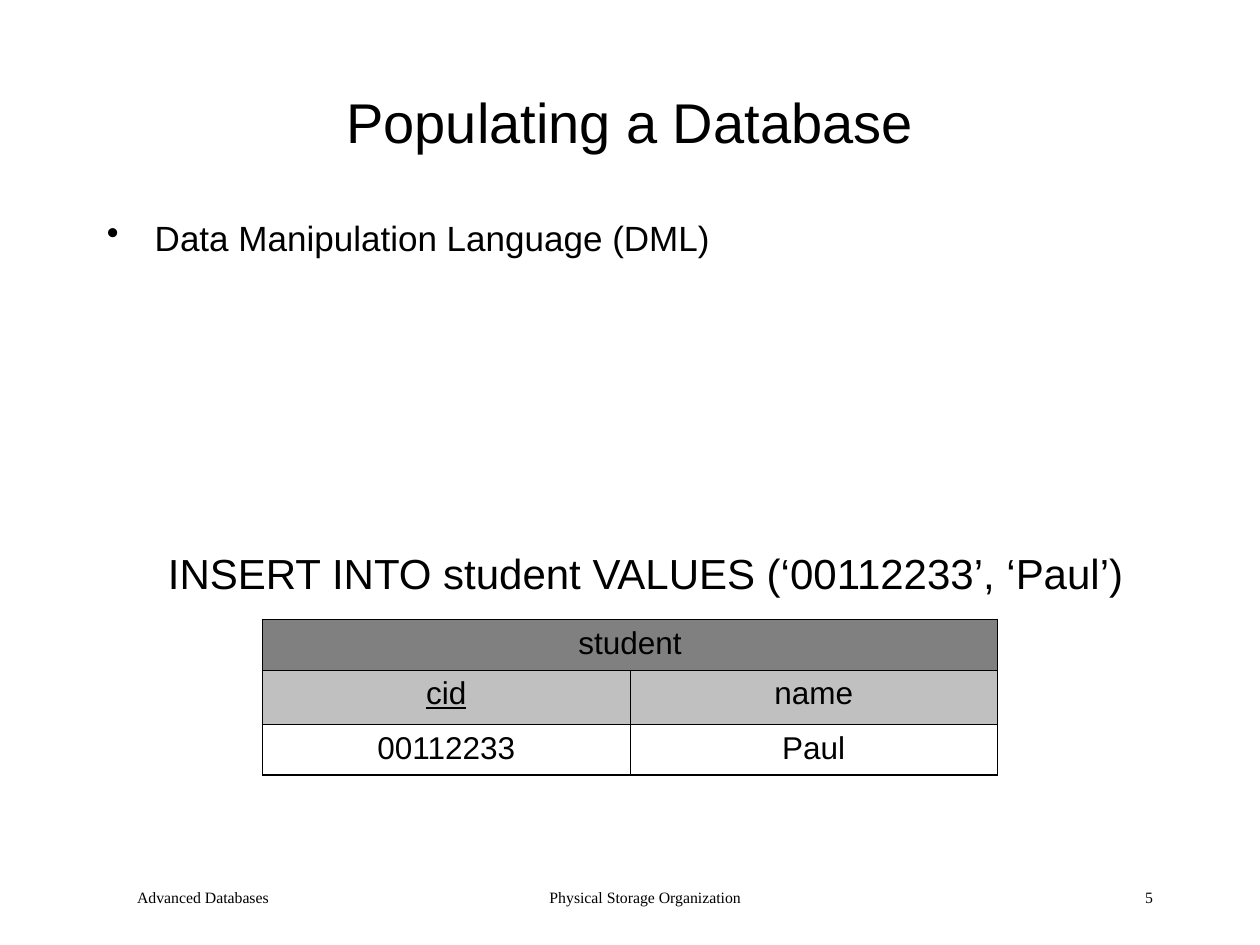
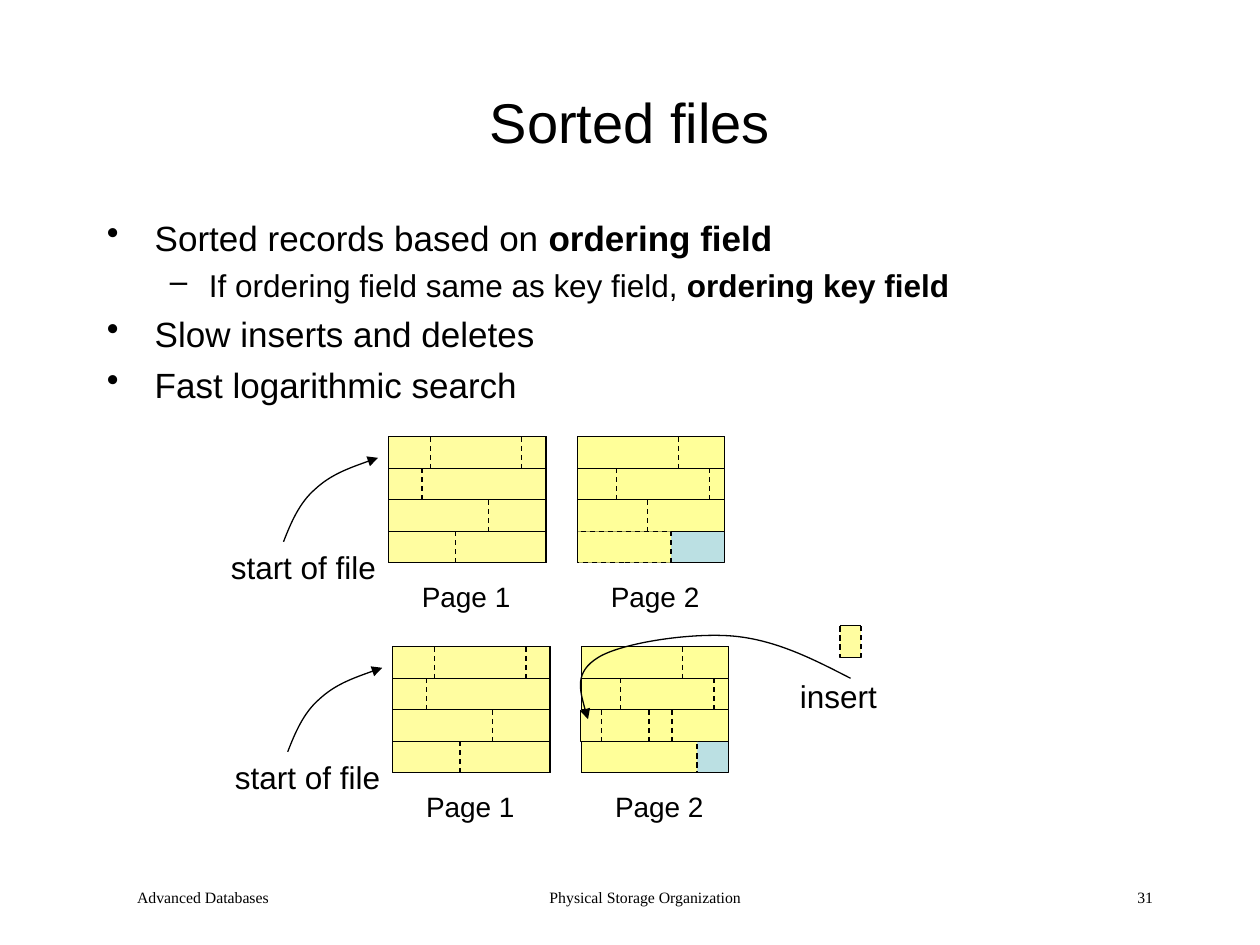
from dataclasses import dataclass
from typing import Any, Optional

from lxml import etree
from pptx import Presentation
from pptx import util as u
from pptx.dml.color import RGBColor
from pptx.enum import dml, shapes, text
from pptx.oxml.ns import qn
from pptx.slide import Slide

BLACK = RGBColor(0x00, 0x00, 0x00)
TABLE_NAME_GREY = RGBColor(0x80, 0x80, 0x80)
FIELD_GREY = RGBColor(0xC0, 0xC0, 0xC0)
RECORD_YELLOW = RGBColor(0xFF, 0xFD, 0xA0)
SORTED_YELLOW = RGBColor(0xFF, 0xFF, 0x99)
FREE_BLUE = RGBColor(0xBB, 0xE0, 0xE3)

SLIDE_WIDTH, SLIDE_HEIGHT = u.Inches(10), u.Inches(7.5)
COLUMNS = 120
STEP = SLIDE_WIDTH / COLUMNS
RECORD_ROWS = 3
RECORDS_PER_PAGE = 4
THIN, THICK = 0.45, 1.08

LEFT, CENTER, RIGHT = text.PP_ALIGN.LEFT, text.PP_ALIGN.CENTER, text.PP_ALIGN.RIGHT
MIDDLE = text.MSO_ANCHOR.MIDDLE

Point = tuple[float, float]
Runs = list[tuple[str, bool]]


@dataclass(frozen=True)
class Box:
    left: float
    top: float
    width: float
    height: float

    def lengths(self) -> list[u.Emu]:
        return [grid(n) for n in (self.left, self.top, self.width, self.height)]


@dataclass(frozen=True)
class Level:
    mark: str
    size: int
    margin: float
    hang: float
    before: float


@dataclass(frozen=True)
class Footer:
    box: Box
    align: Any
    words: str


@dataclass(frozen=True)
class Page:
    title: str
    left: float
    width: float
    fill: RGBColor
    fields: tuple[tuple[float, ...], ...]
    used: Optional[float] = None
    solid_edges: str = ""


LEVELS = (Level("•", 20, 0.38, 0.38, 5), Level("–", 18, 0.81, 0.31, 4.5))
TITLE_BOX = Box(9, 4, 102, 15)
BODY_BOX = Box(9, 20, 102, 62)
FOOTERS = (
    Footer(Box(41, 84, 38, 4), CENTER, "Physical Storage Organization"),
    Footer(Box(86, 84, 25, 4), RIGHT, "{number}"),
    Footer(Box(9, 84, 25, 4), LEFT, "Advanced Databases"),
)
FIRST_PAGE = Page("Page 1", 37, 15, RECORD_YELLOW, ((4, 12.7), (3.2,), (9.5,), (6.4,)))
PAGE_BEFORE = Page("Page 2", 55, 14, SORTED_YELLOW,
                   ((9.6,), (3.7, 12.6), (6.7,), ()), 8.9, "l")
PAGE_AFTER = Page("Page 2", 55, 14, SORTED_YELLOW,
                  ((9.6,), (3.7, 12.6), (6.4, 8.6), ()), 11, "ltb")
START_CURVE = [(36, 43.6), (33.7, 44.4), (31.5, 45.2), (30, 46.6),
               (28.5, 47.9), (27.7, 49.8), (27, 51.6)]
INSERT_CURVE = [(81, 64.6), (77.5, 62.8), (74, 61), (70, 60.6), (66, 60.2),
                (59.3, 61.2), (57, 62.6), (54.7, 64), (55.3, 66.2), (56, 68.5)]


def grid(steps: float) -> u.Emu:
    return u.Emu(round(steps * STEP))


def apply(target: Any, **values: Any) -> None:
    for attribute, value in values.items():
        setattr(target, attribute, value)


def style_font(font: Any, size: float, name: str = "Arial", **more: Any) -> None:
    apply(font, **{"size": u.Pt(size), "name": name, **more})
    font.color.rgb = BLACK


def style_line(line: Any, dashed: bool = False) -> None:
    line.color.rgb = BLACK
    line.width = u.Pt(0.75)
    if dashed:
        line.dash_style = dml.MSO_LINE.DASH


def add_text(slide: Slide, box: Box, words: str, size: float, align: Any = LEFT,
             font: str = "Arial", indent: float = 0, **frame_format: Any) -> None:
    frame = slide.shapes.add_textbox(*box.lengths()).text_frame
    apply(frame, **{"word_wrap": True, **frame_format})
    paragraph = frame.paragraphs[0]
    paragraph.alignment = align
    paragraph._p.get_or_add_pPr().set("marL", str(u.Inches(indent)))
    run = paragraph.add_run()
    run.text = words
    style_font(run.font, size, font)


def add_label(slide: Slide, box: Box, words: str, size: float) -> None:
    add_text(slide, box, words, size, word_wrap=False,
             auto_size=text.MSO_AUTO_SIZE.SHAPE_TO_FIT_TEXT)


def add_bullets(slide: Slide, bullets: list[tuple[int, Runs]]) -> None:
    frame = slide.shapes.add_textbox(*BODY_BOX.lengths()).text_frame
    frame.word_wrap = True
    for index, (depth, runs) in enumerate(bullets):
        level = LEVELS[depth]
        paragraph = frame.add_paragraph() if index else frame.paragraphs[0]
        properties = paragraph._p.get_or_add_pPr()
        properties.set("marL", str(u.Inches(level.margin)))
        properties.set("indent", str(-u.Inches(level.hang)))
        etree.SubElement(properties, qn("a:buChar")).set("char", level.mark)
        apply(paragraph, level=depth, space_before=u.Pt(level.before if index else 0))
        for words, bold in runs:
            run = paragraph.add_run()
            run.text = words
            style_font(run.font, level.size, bold=bold)


def start_slide(deck: Any, title: str, number: int, bullets: list[tuple[int, Runs]]) -> Slide:
    slide = deck.slides.add_slide(deck.slide_layouts[6])
    add_text(slide, TITLE_BOX, title, 32, CENTER, vertical_anchor=MIDDLE)
    add_bullets(slide, bullets)
    for footer in FOOTERS:
        add_text(slide, footer.box, footer.words.format(number=number), 9,
                 footer.align, "Times New Roman", 0.24)
    return slide


def add_segment(slide: Slide, start: Point, end: Point, dashed: bool = False) -> None:
    ends = [grid(n) for n in (*start, *end)]
    segment = slide.shapes.add_connector(shapes.MSO_CONNECTOR.STRAIGHT, *ends)
    etree.SubElement(segment._element.spPr, qn("a:effectLst"))
    style_line(segment.line, dashed)


def add_block(slide: Slide, box: Box, fill: RGBColor, dashed: bool = False) -> None:
    block = slide.shapes.add_shape(shapes.MSO_SHAPE.RECTANGLE, *box.lengths())
    block.shadow.inherit = False
    block.fill.solid()
    block.fill.fore_color.rgb = fill
    style_line(block.line, dashed)


def add_dashed_record(slide: Slide, box: Box, fill: RGBColor, solid_edges: str) -> None:
    add_block(slide, box, fill, dashed=True)
    right, bottom = box.left + box.width, box.top + box.height
    edges = {
        "l": ((box.left, box.top), (box.left, bottom)),
        "t": ((box.left, box.top), (right, box.top)),
        "b": ((box.left, bottom), (right, bottom)),
    }
    for edge in solid_edges:
        add_segment(slide, *edges[edge])


def add_curve(slide: Slide, points: list[Point], arrow_end: str) -> None:
    start, *rest = [(grid(x), grid(y)) for x, y in points]
    builder = slide.shapes.build_freeform(*start)
    builder.add_line_segments(rest, close=False)
    curve = builder.convert_to_shape()
    curve.shadow.inherit = False
    curve.fill.background()
    style_line(curve.line)
    outline = curve._element.find(".//" + qn("a:path"))
    steps = outline.findall(qn("a:lnTo"))
    for first in range(0, len(steps), 3):
        bezier = etree.SubElement(outline, qn("a:cubicBezTo"))
        for step in steps[first:first + 3]:
            bezier.append(step[0])
            outline.remove(step)
    etree.SubElement(curve.line._get_or_add_ln(), qn(arrow_end)).set("type", "triangle")


def add_page(slide: Slide, page: Page, shift: Point) -> None:
    left, top = page.left + shift[0], 41.6 + shift[1]
    height = RECORD_ROWS * RECORDS_PER_PAGE
    has_space = page.used is not None
    add_block(slide, Box(left, top, page.width, height), FREE_BLUE if has_space else page.fill)
    for index, fields in enumerate(page.fields):
        row = top + index * RECORD_ROWS
        if has_space and index == RECORDS_PER_PAGE - 1:
            add_dashed_record(slide, Box(left, row, page.used, RECORD_ROWS),
                              page.fill, page.solid_edges)
        else:
            add_block(slide, Box(left, row, page.width, RECORD_ROWS), page.fill)
        for field in fields:
            add_segment(slide, (left + field, row), (left + field, row + RECORD_ROWS), True)
    add_label(slide, Box(left + 2, top + 13, 10.8, 4.4), page.title, 16)


def add_file(slide: Slide, pages: tuple[Page, ...], shift: Point) -> None:
    dx, dy = shift
    for page in pages:
        add_page(slide, page, shift)
    add_curve(slide, [(x + dx, y + dy) for x, y in START_CURVE], "a:headEnd")
    add_label(slide, Box(20.8 + dx, 51.6 + dy, 16.2, 4.8), "start of file", 18)


def border_cell(cell: Any, widths: dict[str, float]) -> None:
    properties = cell._tc.get_or_add_tcPr()
    for index, (side, width) in enumerate(widths.items()):
        border = etree.Element(qn(f"a:ln{side}"), w=str(u.Pt(width)))
        fill = etree.SubElement(border, qn("a:solidFill"))
        etree.SubElement(fill, qn("a:srgbClr")).set("val", str(BLACK))
        properties.insert(index, border)


def add_student_table(slide: Slide) -> None:
    rows = (("student", ""), ("cid", "name"), ("00112233", "Paul"))
    fills = (TABLE_NAME_GREY, FIELD_GREY, None)
    heights = (4.8, 5.2, 4.8)
    box = Box(25, 59, 70, sum(heights))
    student = slide.shapes.add_table(3, 2, *box.lengths()).table
    apply(student, first_row=False, horz_banding=False)
    for row, (values, fill, height) in enumerate(zip(rows, fills, heights)):
        student.rows[row].height = grid(height)
        for column, value in enumerate(values):
            cell = student.cell(row, column)
            if fill is None:
                cell.fill.background()
            else:
                cell.fill.solid()
                cell.fill.fore_color.rgb = fill
            border_cell(cell, {
                "L": THIN if column else THICK,
                "R": THICK if column or row == 0 else THIN,
                "T": THIN if row else THICK,
                "B": THICK if row == 2 else THIN,
            })
            paragraph = cell.text_frame.paragraphs[0]
            paragraph.alignment = CENTER
            if value:
                run = paragraph.add_run()
                run.text = value
                style_font(run.font, 18, underline=value == "cid")
    student.cell(0, 0).merge(student.cell(0, 1))


def build_populating(deck: Any) -> None:
    slide = start_slide(deck, "Populating a Database", 5,
                        [(0, [("Data Manipulation Language (DML)", False)])])
    add_student_table(slide)
    add_text(slide, Box(12, 51, 99, 7), "INSERT INTO student VALUES (‘00112233’, ‘Paul’)",
             24, CENTER, word_wrap=False, vertical_anchor=MIDDLE)


def build_sorted_files(deck: Any) -> None:
    slide = start_slide(deck, "Sorted files", 31, [
        (0, [("Sorted records based on ", False), ("ordering field", True)]),
        (1, [("If ordering field same as key field, ", False), ("ordering key field", True)]),
        (0, [("Slow inserts and deletes", False)]),
        (0, [("Fast logarithmic search", False)]),
    ])
    add_file(slide, (PAGE_BEFORE, FIRST_PAGE), (0, 0))
    add_file(slide, (PAGE_AFTER, FIRST_PAGE), (0.4, 20))
    add_dashed_record(slide, Box(55.3, 67.6, 2, RECORD_ROWS), RECORD_YELLOW, "tbl")
    add_dashed_record(slide, Box(80, 59.6, 2, RECORD_ROWS), RECORD_YELLOW, "tb")
    add_curve(slide, INSERT_CURVE, "a:tailEnd")
    add_label(slide, Box(75, 63.9, 9.7, 4.8), "insert", 18)


def main() -> None:
    deck = Presentation()
    apply(deck, slide_width=SLIDE_WIDTH, slide_height=SLIDE_HEIGHT)
    build_populating(deck)
    build_sorted_files(deck)
    deck.save("out.pptx")


if __name__ == "__main__":
    main()
